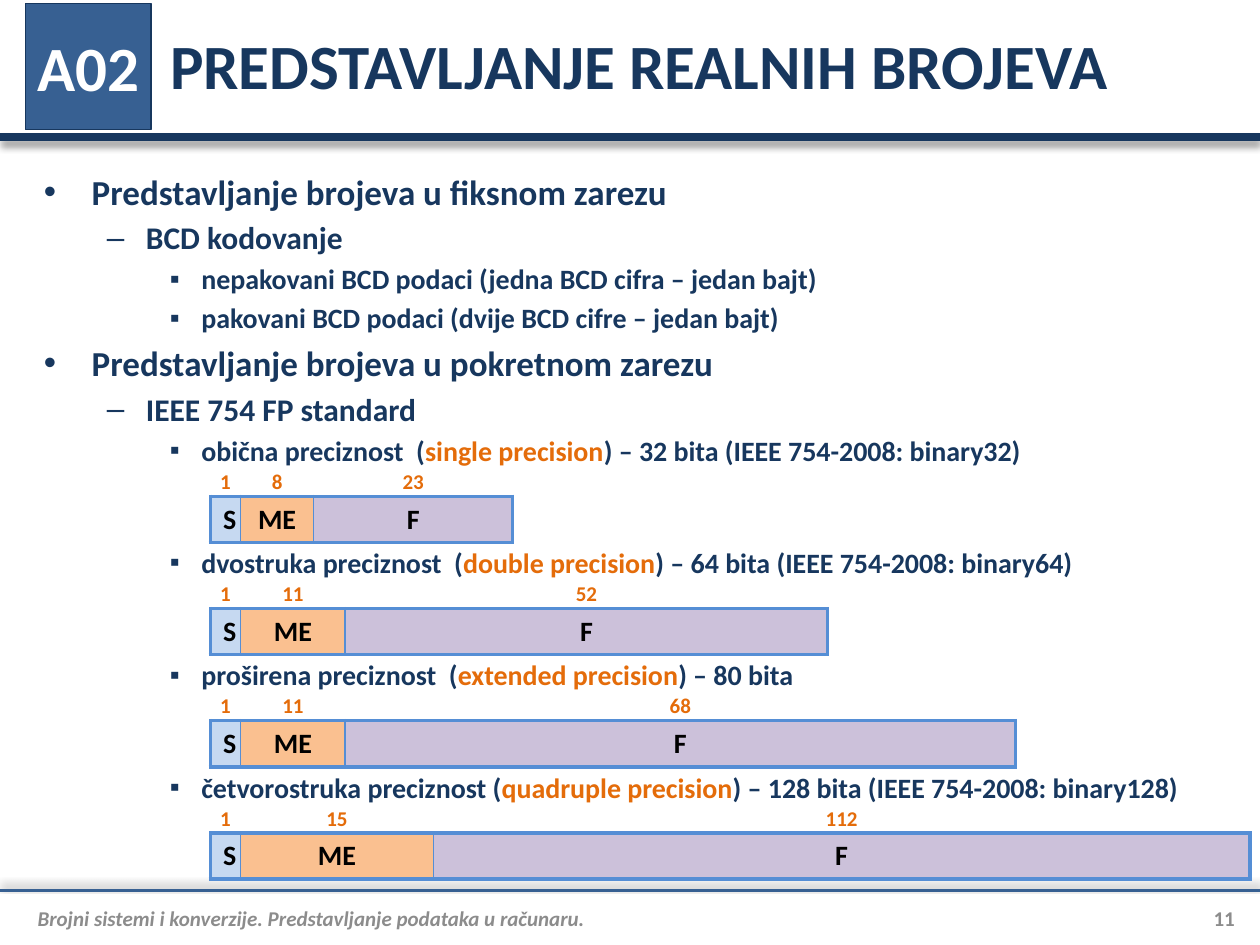
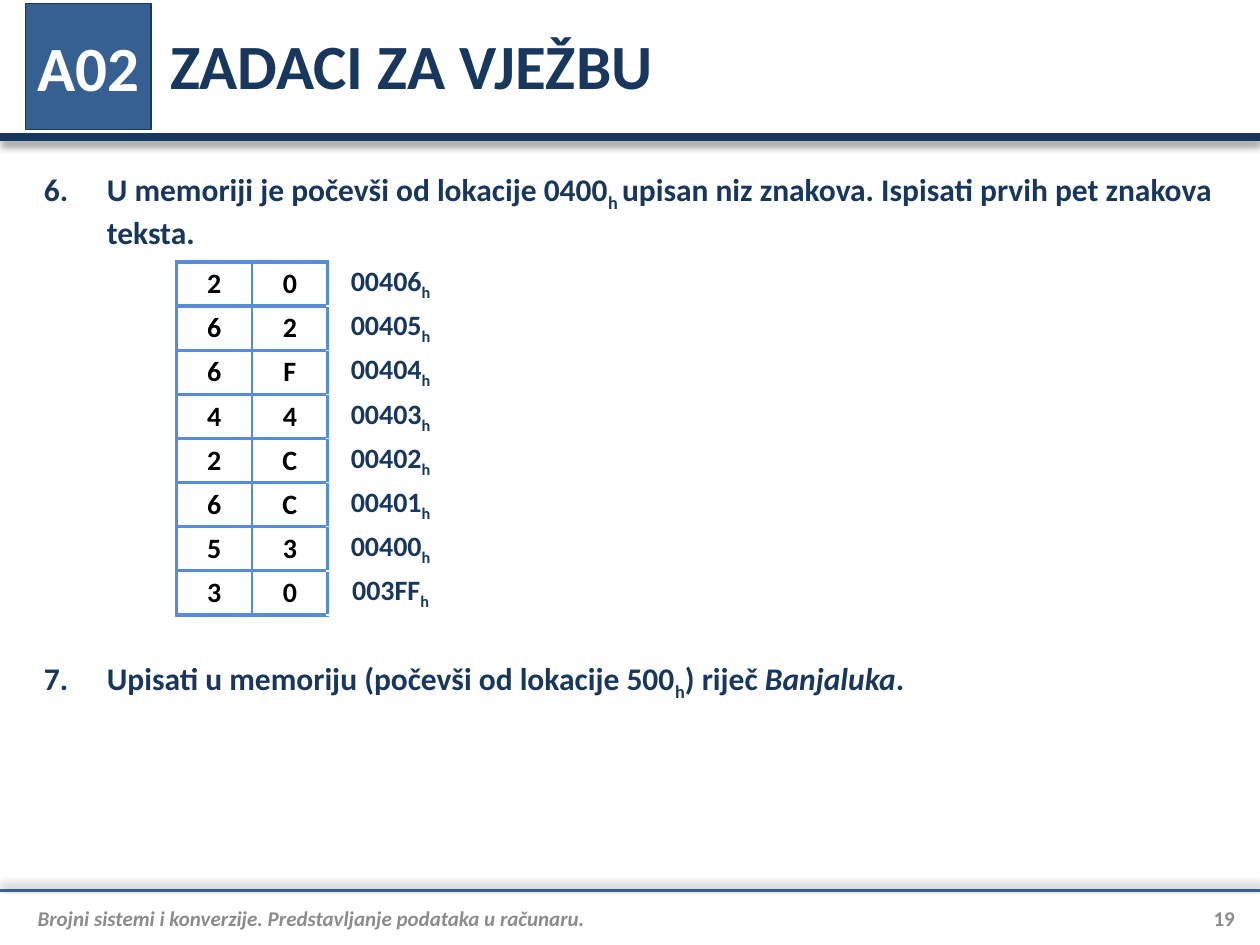
from lxml.etree import SubElement
from pptx import Presentation
from pptx.dml.color import RGBColor
from pptx.enum.shapes import MSO_CONNECTOR, MSO_SHAPE
from pptx.enum.text import MSO_ANCHOR as Anchor, PP_ALIGN as Align
from pptx.oxml import parse_xml
from pptx.oxml.ns import nsdecls, qn
from pptx.util import Inches, Pt

NAVY, BLUE, CELL_BLUE = "17375E", "376092", "558ED5"
ORANGE, GREY, WHITE, BLACK = "E46C0A", "8C8C8C", "FFFFFF", "000000"
FIELD_FILLS = ("C6D9F1", "FAC090", "CCC1DA")
FOOTER = "Brojni sistemi i konverzije. Predstavljanje podataka u računaru."

# Per outline level: bullet, text indent, hanging indent, text size
LEVELS = (("•", 0.38, 0.38, 20), ("–", 0.81, 0.31, 18), ("▪", 1.25, 0.25, 16))
THICK, THIN, HIDDEN = (CELL_BLUE, 2.25), (CELL_BLUE, 1), (WHITE, 1)
NO_MARGIN = (0, 0, 0, 0)
DEFAULT_MARGIN = (0.1, 0.05, 0.1, 0.05)


def rgb(color):
    return RGBColor.from_string(color)


def write(paragraph, text, size=16, color=NAVY, bold=True, italic=False, subscript=False):
    """Add one formatted run to the paragraph."""
    run = paragraph.add_run()
    run.text = text
    font = run.font
    font.name, font.size, font.bold, font.italic = "Calibri", Pt(size), bold, italic
    font.color.rgb = rgb(color)
    if subscript:
        run._r.get_or_add_rPr().set("baseline", "-25000")


def write_parts(paragraph, parts, **style):
    """Write plain strings and (text, format changes) pairs one after another."""
    for part in parts:
        text, changes = (part, {}) if isinstance(part, str) else part
        write(paragraph, text, **{**style, **changes})


def set_indent(paragraph, left, hanging):
    properties = paragraph._p.get_or_add_pPr()
    properties.set("marL", str(Inches(left)))
    properties.set("indent", str(-Inches(hanging)))
    return properties


def set_margins(target, margins):
    (target.margin_left, target.margin_top,
     target.margin_right, target.margin_bottom) = map(Inches, margins)


def set_borders(cell, left, top, right, bottom):
    properties = cell._tc.get_or_add_tcPr()
    sides = (("lnL", left), ("lnR", right), ("lnT", top), ("lnB", bottom))
    for index, (tag, (color, width)) in enumerate(sides):
        properties.insert(index, parse_xml(
            f'<a:{tag} {nsdecls("a")} w="{Pt(width)}"><a:solidFill>'
            f'<a:srgbClr val="{color}"/></a:solidFill></a:{tag}>'))


class LectureDeck:
    """Holds the presentation, its shared style and the current slide."""

    def __init__(self):
        self.presentation = Presentation()
        self.presentation.slide_width = Inches(10)
        self.presentation.slide_height = Inches(7.5)
        self.slide = None

    def add_slide(self, title, number):
        self.slide = self.presentation.slides.add_slide(self.presentation.slide_layouts[5])
        self.add_rule(1.09, NAVY, 4.5, shadow_angle=90)
        self.add_rule(7.07, BLUE, 1.5, shadow_angle=270)
        self.add_title(title)
        self.add_badge("A02")
        footer_style = dict(anchor=Anchor.MIDDLE, size=12, color=GREY)
        self.add_text(0.2, 7.11, 9.1, 0.35, [FOOTER], margins=(0.1, 0, 0, 0),
                      italic=True, **footer_style)
        self.add_text(9.3, 7.11, 0.5, 0.35, [str(number)], margins=NO_MARGIN,
                      align=Align.RIGHT, **footer_style)

    def add_rule(self, y, color, width, shadow_angle):
        """Draw a line across the slide that casts a soft shadow."""
        line = self.slide.shapes.add_connector(
            MSO_CONNECTOR.STRAIGHT, 0, Inches(y), Inches(10), Inches(y))
        line.line.color.rgb = rgb(color)
        line.line.width = Pt(width)
        line._element.spPr.append(parse_xml(
            f'<a:effectLst {nsdecls("a")}><a:outerShdw blurRad="{Pt(4)}" dist="{Pt(3)}" '
            f'dir="{shadow_angle * 60000}" rotWithShape="0"><a:srgbClr val="{BLACK}">'
            '<a:alpha val="40000"/></a:srgbClr></a:outerShdw></a:effectLst>'))

    def add_title(self, text):
        title = self.slide.shapes.title
        title.left, title.top = Inches(1.25), Inches(0.01)
        title.width, title.height = Inches(8.55), Inches(1)
        title.text_frame.vertical_anchor = Anchor.MIDDLE
        paragraph = title.text_frame.paragraphs[0]
        paragraph.alignment = Align.LEFT
        write(paragraph, text, size=36)

    def add_badge(self, text):
        badge = self.slide.shapes.add_shape(
            MSO_SHAPE.RECTANGLE, Inches(0.2), Inches(0.03), Inches(1), Inches(1))
        badge.shadow.inherit = False
        badge.fill.solid()
        badge.fill.fore_color.rgb = rgb(BLUE)
        badge.line.color.rgb = rgb(NAVY)
        badge.line.width = Pt(0.75)
        frame = badge.text_frame
        set_margins(frame, NO_MARGIN)
        frame.vertical_anchor = Anchor.MIDDLE
        paragraph = frame.paragraphs[0]
        paragraph.alignment = Align.CENTER
        paragraph.space_before = Pt(7.2)
        write(paragraph, text, size=36, color=WHITE)

    def add_frame(self, left, top, width, height):
        box = self.slide.shapes.add_textbox(*map(Inches, (left, top, width, height)))
        box.text_frame.word_wrap = True
        return box.text_frame

    def add_text(self, left, top, width, height, parts, margins=DEFAULT_MARGIN,
                 anchor=Anchor.TOP, align=Align.LEFT, hanging=0, **style):
        frame = self.add_frame(left, top, width, height)
        set_margins(frame, margins)
        frame.vertical_anchor = anchor
        paragraph = frame.paragraphs[0]
        paragraph.alignment = align
        if hanging:
            set_indent(paragraph, hanging, hanging)
        write_parts(paragraph, parts, **style)

    def add_outline(self, left, top, width, height, items):
        """Add bulleted paragraphs from (level, parts, space before or None)."""
        frame = self.add_frame(left, top, width, height)
        for index, (level, parts, space) in enumerate(items):
            paragraph = frame.add_paragraph() if index else frame.paragraphs[0]
            bullet, indent, hanging, size = LEVELS[level]
            paragraph.level = level
            paragraph.space_before = Pt(space or 0.2 * size)
            properties = set_indent(paragraph, indent, hanging)
            SubElement(properties, qn("a:buFont")).set("typeface", "Arial")
            SubElement(properties, qn("a:buChar")).set("char", bullet)
            write_parts(paragraph, parts, size=size)

    def add_table(self, left, top, widths, heights):
        table = self.slide.shapes.add_table(
            len(heights), len(widths), Inches(left), Inches(top),
            Inches(sum(widths)), Inches(sum(heights))).table
        table.first_row = table.horz_banding = False
        for column, width in zip(table.columns, widths):
            column.width = Inches(width)
        for row, height in zip(table.rows, heights):
            row.height = Inches(height)
        return table

    def fill_cell(self, cell, parts, borders, fill=None, margins=NO_MARGIN, **style):
        set_margins(cell, margins)
        cell.vertical_anchor = Anchor.MIDDLE
        if fill:
            cell.fill.solid()
            cell.fill.fore_color.rgb = rgb(fill)
        else:
            cell.fill.background()
        set_borders(cell, *borders)
        paragraph = cell.text_frame.paragraphs[0]
        paragraph.alignment = Align.CENTER
        write_parts(paragraph, parts, **style)

    def add_float_format(self, top, bits, widths):
        """Draw the sign, exponent and fraction fields under their bit counts."""
        table = self.add_table(1.67, top, widths, (0.22, 0.35))
        for column, (count, name) in enumerate(zip(bits, ("S", "ME", "F"))):
            self.fill_cell(table.cell(0, column), [str(count)],
                           (HIDDEN, HIDDEN, HIDDEN, THICK), size=12, color=ORANGE)
            self.fill_cell(table.cell(1, column), [name],
                           (THIN if column else THICK, THICK,
                            THICK if column == 2 else THIN, THICK),
                           fill=FIELD_FILLS[column], color=BLACK,
                           margins=NO_MARGIN if column else DEFAULT_MARGIN)

    def add_memory(self, left, top, rows):
        """Draw memory bytes as two hex digits with the address beside them."""
        table = self.add_table(left, top, (0.6, 0.6, 1), [0.35] * len(rows))
        for row, (byte, address) in enumerate(rows):
            high, low, label = (table.cell(row, column) for column in range(3))
            self.fill_cell(high, [byte[0]], (THICK, THICK, THIN, THICK), color=BLACK)
            self.fill_cell(low, [byte[1]], (THIN, THICK, THICK, THICK), color=BLACK)
            self.fill_cell(label, [address, ("h", dict(subscript=True))],
                           (THICK, HIDDEN, HIDDEN, HIDDEN))


def precision_item(name, english, ending, space=45):
    return 2, [name + "(", (english, dict(color=ORANGE)), ") – " + ending], space


def build_real_numbers(deck):
    deck.add_slide("PREDSTAVLJANJE REALNIH BROJEVA", 11)
    formats = (
        ((1, 8, 23), (0.23, 0.58, 1.58)),
        ((1, 11, 52), (0.23, 0.83, 3.83)),
        ((1, 11, 68), (0.23, 0.83, 5.32)),
        ((1, 15, 112), (0.23, 1.53, 6.48)),
    )
    for index, (bits, widths) in enumerate(formats):
        deck.add_float_format(3.72 + 0.89 * index, bits, widths)
    deck.add_outline(0.25, 1.3, 9.6, 5.81, [
        (0, ["Predstavljanje brojeva u fiksnom zarezu"], None),
        (1, ["BCD kodovanje"], None),
        (2, ["nepakovani BCD podaci (jedna BCD cifra – jedan bajt)"], None),
        (2, ["pakovani BCD podaci (dvije BCD cifre – jedan bajt)"], None),
        (0, ["Predstavljanje brojeva u pokretnom zarezu"], None),
        (1, ["IEEE 754 FP standard"], None),
        precision_item("obična preciznost  ", "single precision",
                       "32 bita (IEEE 754-2008: binary32)", space=None),
        precision_item("dvostruka preciznost  ", "double precision",
                       "64 bita (IEEE 754-2008: binary64)"),
        precision_item("proširena preciznost  ", "extended precision", "80 bita"),
        precision_item("četvorostruka preciznost ", "quadruple precision",
                       "128 bita (IEEE 754-2008: binary128)"),
    ])


def build_exercises(deck):
    deck.add_slide("ZADACI ZA VJEŽBU", 19)
    deck.add_text(0.25, 1.3, 9.5, 0.71, [
        "6.\tU memoriji je počevši od lokacije 0400", ("h ", dict(subscript=True)),
        "upisan niz znakova. Ispisati prvih pet znakova teksta.",
    ], hanging=0.5, size=18)
    memory_bytes = ("20", "62", "6F", "44", "2C", "6C", "53", "30")
    deck.add_memory(1.4, 2.08, [(byte, f"{0x406 - offset:05X}")
                                for offset, byte in enumerate(memory_bytes)])
    deck.add_text(0.25, 5.18, 9.42, 0.4, [
        "7.\tUpisati u memoriju (počevši od lokacije 500", ("h", dict(subscript=True)),
        ") riječ ", ("Banjaluka", dict(italic=True)), ".",
    ], hanging=0.5, size=18)


def main():
    deck = LectureDeck()
    build_real_numbers(deck)
    build_exercises(deck)
    deck.presentation.save("out.pptx")


if __name__ == "__main__":
    main()
